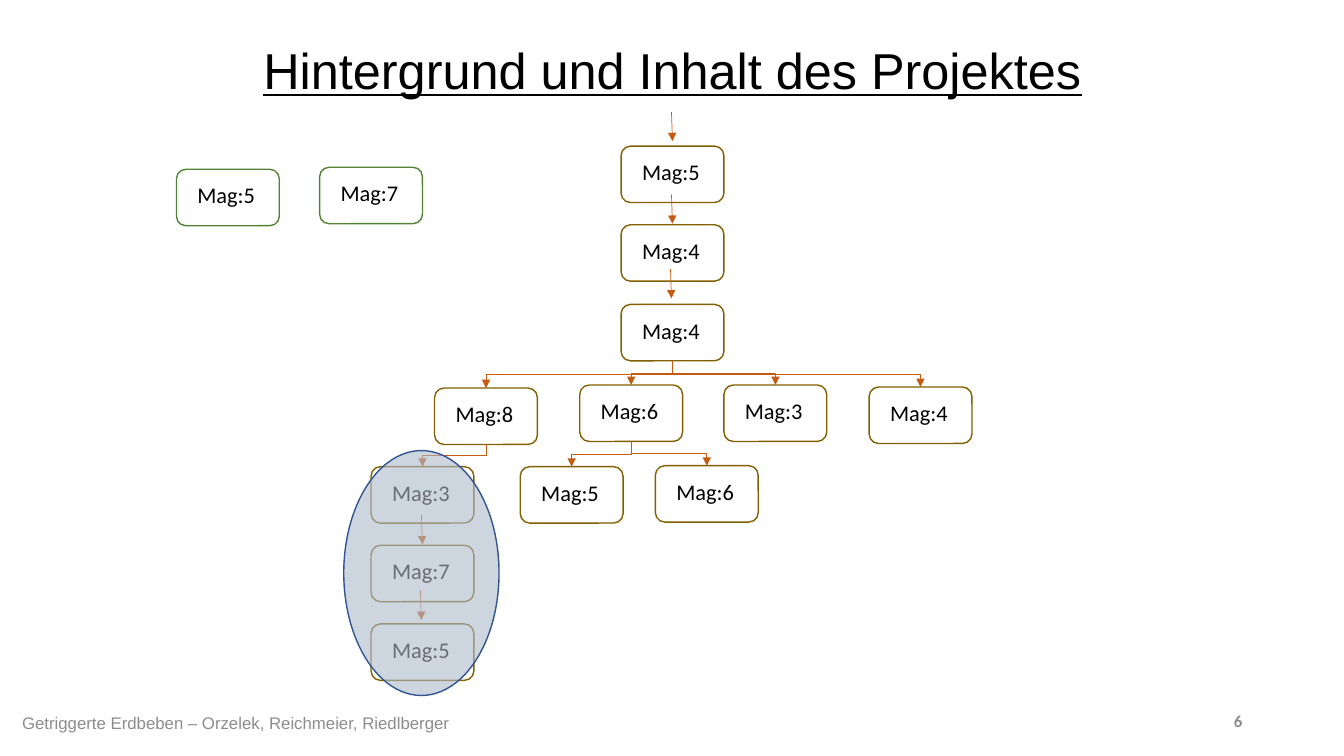
"""Build a slide showing a tree of triggered earthquakes."""
import pptx
import pptx.dml.color
import pptx.enum.shapes
import pptx.enum.text
import pptx.oxml
import pptx.oxml.ns
import pptx.util

Inches = pptx.util.Inches
Pt = pptx.util.Pt
Align = pptx.enum.text.PP_ALIGN
Shape = pptx.enum.shapes.MSO_SHAPE
Connector = pptx.enum.shapes.MSO_CONNECTOR

NODE_WIDTH, NODE_HEIGHT = 1.02, 0.56
BROWN, GREEN, ORANGE = "806000", "548235", "C55A11"
BLACK, GREY = "000000", "8C8C8C"

NODES = [
    ("Mag:5", 6.16, 1.45, BROWN),
    ("Mag:4", 6.16, 2.23, BROWN),
    ("Mag:4", 6.16, 3.02, BROWN),
    ("Mag:8", 4.31, 3.85, BROWN),
    ("Mag:6", 5.75, 3.82, BROWN),
    ("Mag:3", 7.18, 3.82, BROWN),
    ("Mag:4", 8.62, 3.84, BROWN),
    ("Mag:5", 5.16, 4.63, BROWN),
    ("Mag:6", 6.5, 4.62, BROWN),
    ("Mag:5", 3.68, 6.19, BROWN),
    ("Mag:7", 3.68, 5.41, BROWN),
    ("Mag:3", 3.68, 4.63, BROWN),
    ("Mag:7", 3.17, 1.66, GREEN),
    ("Mag:5", 1.75, 1.68, GREEN),
]
BRANCHES = [(2, 5), (2, 6), (2, 4), (2, 3), (4, 7), (4, 8), (3, 11)]
ARROW_STARTS = [(6.66, 1.11), (6.66, 1.93), (6.65, 2.67), (4.18, 5.11), (4.17, 5.86)]


def colour(code):
    """Turn a hex string into a colour."""
    return pptx.dml.color.RGBColor.from_string(code)


def element(markup):
    """Make a drawing element from its tag and attributes."""
    return pptx.oxml.parse_xml("<a:%s %s/>" % (markup, pptx.oxml.ns.nsdecls("a")))


class Sketch:
    """Hold the style and the current slide, and draw its elements."""

    def __init__(self, page):
        """Keep the slide to draw on."""
        self.page = page

    def set_text(self, box, words, size, font, code, align):
        """Put one formatted paragraph into a box."""
        frame = box.text_frame
        frame.word_wrap = True
        frame.auto_size = pptx.enum.text.MSO_AUTO_SIZE.NONE
        frame.vertical_anchor = pptx.enum.text.MSO_ANCHOR.MIDDLE
        para = frame.paragraphs[0]
        para.text = words
        para.alignment = align
        para.font.size = Pt(size)
        para.font.name = font
        para.font.color.rgb = colour(code)
        return para

    def title(self, words, left, top, width, height):
        """Fill and place the title placeholder."""
        box = self.page.shapes.title
        box.left, box.top = Inches(left), Inches(top)
        box.width, box.height = Inches(width), Inches(height)
        para = self.set_text(box, words, 36, "Arial", BLACK, Align.CENTER)
        para.line_spacing = 0.9
        para.font.underline = True

    def label(self, words, left, top, width, font, align):
        """Add a grey footer text."""
        box = self.page.shapes.add_textbox(
            Inches(left), Inches(top), Inches(width), Inches(0.4))
        return self.set_text(box, words, 12, font, GREY, align)

    def outline(self, shapes, kind, left, top, width, height, code):
        """Add an unfilled shape with a thin border."""
        shape = shapes.add_shape(
            kind, Inches(left), Inches(top), Inches(width), Inches(height))
        shape.shadow.inherit = False
        shape.fill.background()
        shape.line.color.rgb = colour(code)
        shape.line.width = Pt(1)
        return shape

    def node(self, words, left, top, code):
        """Add a grouped magnitude text and its rounded border."""
        group = self.page.shapes.add_group_shape()
        box = group.shapes.add_textbox(
            Inches(left + 0.11), Inches(top + 0.07), Inches(0.8), Inches(0.37))
        self.set_text(box, words, 16, "Calibri", BLACK, Align.LEFT)
        self.outline(group.shapes, Shape.ROUNDED_RECTANGLE, left, top,
                     NODE_WIDTH, NODE_HEIGHT, code)

    def arrow(self, kind, *ends):
        """Add a thin connector with a triangular head."""
        connector = self.page.shapes.add_connector(kind, *map(Inches, ends))
        connector.line.color.rgb = colour(ORANGE)
        connector.line.width = Pt(0.5)
        line = connector.element.spPr.find(pptx.oxml.ns.qn("a:ln"))
        line.append(element('tailEnd type="triangle"'))
        line.addnext(element("effectLst"))
        return connector

    def branch(self, parent, child):
        """Add an elbow arrow that leaves downwards and arrives downwards."""
        start_x, start_y = parent[1] + NODE_WIDTH / 2, parent[2] + NODE_HEIGHT
        end_x, end_y = child[1] + NODE_WIDTH / 2, child[2]
        middle_x, middle_y = (start_x + end_x) / 2, (start_y + end_y) / 2
        half_drop, half_reach = (end_y - start_y) / 2, abs(end_x - start_x) / 2
        side = 1 if end_x < start_x else -1
        connector = self.arrow(
            Connector.ELBOW,
            middle_x - side * half_drop, middle_y - half_reach,
            middle_x + side * half_drop, middle_y + half_reach)
        frame = connector.element.spPr.find(pptx.oxml.ns.qn("a:xfrm"))
        frame.set("rot", str((90 if side == 1 else 270) * 60000))

    def highlight(self, left, top, width, height):
        """Add a translucent ellipse."""
        ellipse = self.outline(self.page.shapes, Shape.OVAL, left, top,
                               width, height, "325491")
        ellipse.fill.solid()
        ellipse.fill.fore_color.rgb = colour("ADB9CA")
        fill = ellipse.element.spPr.find(pptx.oxml.ns.qn("a:solidFill"))
        fill[0].append(element('alpha val="60000"'))


def main():
    """Draw the slide and save it."""
    deck = pptx.Presentation()
    deck.slide_width, deck.slide_height = Inches(13.33), Inches(7.5)
    sketch = Sketch(deck.slides.add_slide(deck.slide_layouts[5]))

    sketch.label("Getriggerte Erdbeben – Orzelek, Reichmeier, Riedlberger",
                 0.09, 6.97, 4.5, "Arial", Align.CENTER)
    number = sketch.label("6", 9.42, 6.95, 3, "Calibri", Align.RIGHT)
    number.font.bold = True
    sketch.title("Hintergrund und Inhalt des Projektes", 0.92, 0, 11.5, 1.45)

    for node in NODES:
        sketch.node(*node)
    for parent, child in BRANCHES:
        sketch.branch(NODES[parent], NODES[child])
    for left, top in ARROW_STARTS:
        sketch.arrow(Connector.STRAIGHT, left, top, left + 0.01, top + 0.29)
    sketch.highlight(3.41, 4.47, 1.54, 2.43)

    deck.save("out.pptx")


if __name__ == "__main__":
    main()
